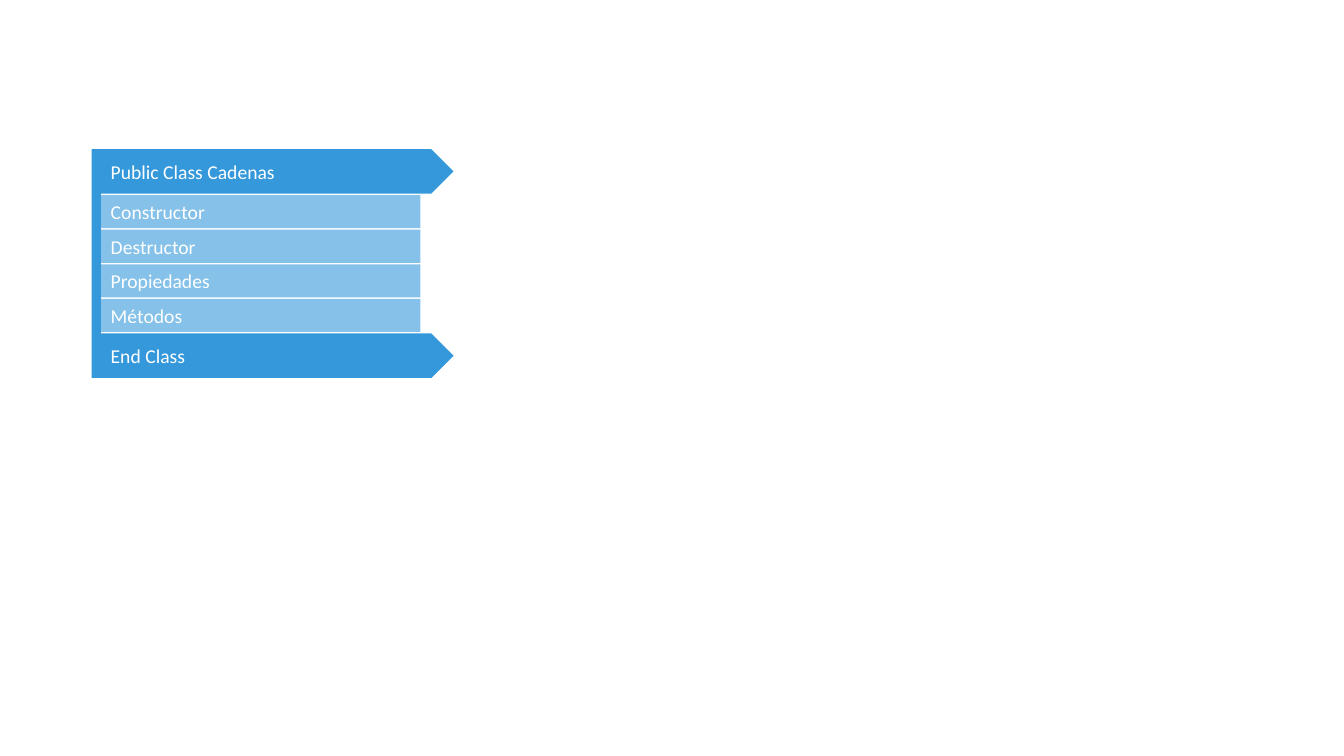
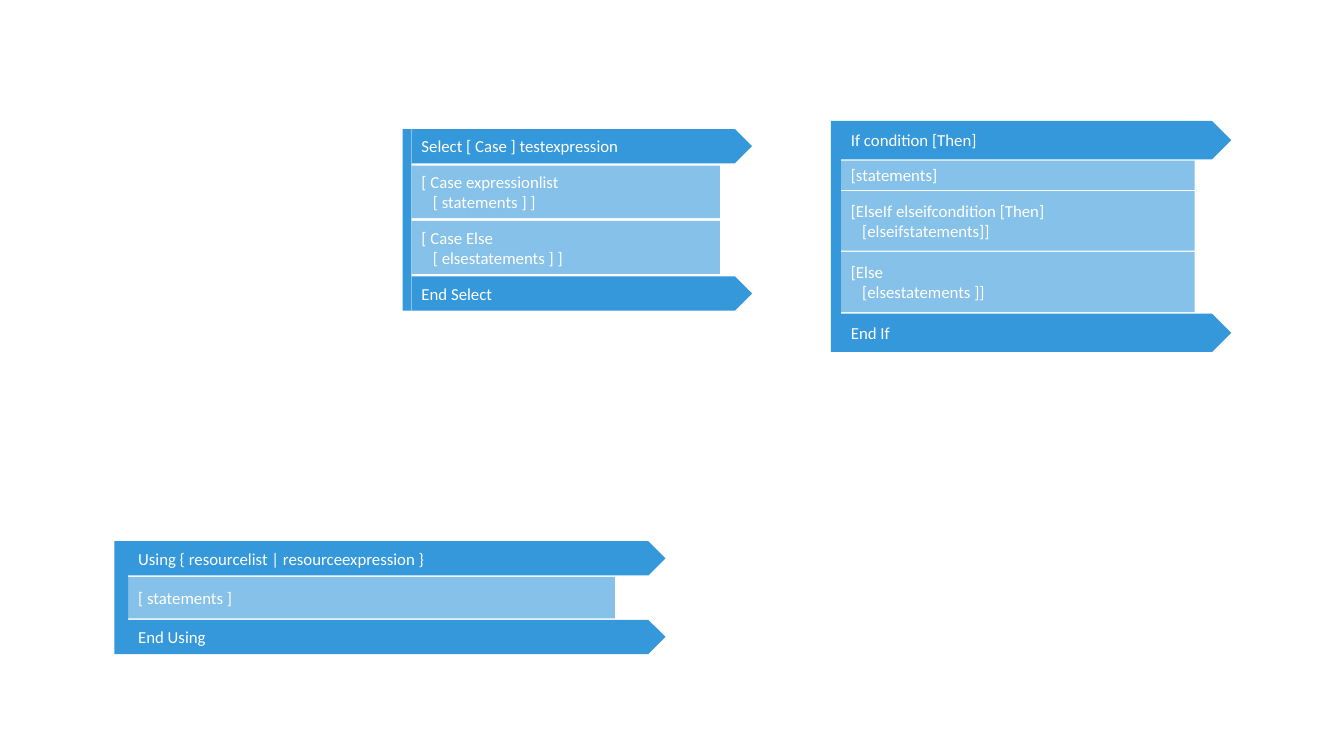
from pptx import Presentation
from pptx.dml.color import RGBColor
from pptx.enum.shapes import MSO_SHAPE as Shape
from pptx.enum.text import MSO_ANCHOR as Anchor, PP_ALIGN as Align
from pptx.util import Pt

BLUE = RGBColor(0x34, 0x98, 0xDB)
LIGHT_BLUE = RGBColor(0x85, 0xC1, 0xE9)
WHITE = RGBColor(0xFF, 0xFF, 0xFF)


class SyntaxDeck:
    font = "Calibri"
    indent = 8.1

    def __init__(self):
        self.deck = Presentation()
        self.deck.slide_width = Pt(960)
        self.deck.slide_height = Pt(540)
        self.slide = None

    def new_slide(self):
        self.slide = self.deck.slides.add_slide(self.deck.slide_layouts[6])

    def bar(self, group, kind, left, top, width, height, color):
        bar = group.shapes.add_shape(kind, Pt(left), Pt(top), Pt(width), Pt(height))
        bar.shadow.inherit = False
        bar.fill.solid()
        bar.fill.fore_color.rgb = color
        bar.line.fill.background()
        return bar

    def label(self, bar, text, size):
        frame = bar.text_frame
        frame.text = text
        frame.word_wrap = True
        frame.vertical_anchor = Anchor.MIDDLE
        for number, paragraph in enumerate(frame.paragraphs):
            paragraph.alignment = Align.LEFT
            if number:
                paragraph._p.get_or_add_pPr().set("marL", str(Pt(self.indent)))
            for run in paragraph.runs:
                run.font.name = self.font
                run.font.size = Pt(size)
                run.font.color.rgb = WHITE

    def code_block(self, left, top, spine, cap_size, row_width, gap, size,
                   opening, rows, closing):
        group = self.slide.shapes.add_group_shape()
        cap_width, cap_height = cap_size
        cap = (Shape.PENTAGON, cap_width, cap_height, BLUE)
        parts = [(opening, *cap)]
        parts += [(text, Shape.RECTANGLE, row_width, height, LIGHT_BLUE)
                  for text, height in rows]
        parts.append((closing, *cap))
        y = top
        for text, kind, width, height, color in parts:
            bar = self.bar(group, kind, left, y, width, height, color)
            self.label(bar, text, size)
            y += height + gap
        self.bar(group, Shape.RECTANGLE, left - spine, top, spine, y - gap - top, BLUE)


syntax = SyntaxDeck()

syntax.new_slide()
members = ["Constructor", "Destructor", "Propiedades", "Métodos"]
syntax.code_block(
    72, 106.5, 6.5, (252, 31.8), 228.4, 1.1, 14,
    "Public Class Cadenas", [(member, 23.6) for member in members], "End Class")

syntax.new_slide()
syntax.code_block(
    294, 92.2, 6.3, (243.2, 24.4), 220.2, 1.75, 12,
    "Select [ Case ] testexpression",
    [("[ Case expressionlist\n[ statements ] ]", 37.6),
     ("[ Case Else\n[ elsestatements ] ]", 38)],
    "End Select")
syntax.code_block(
    600.7, 86.4, 7.2, (278.8, 27.4), 252.6, 0.9, 12,
    "If condition [Then]",
    [("[statements]", 20.9),
     ("[ElseIf elseifcondition [Then]\n[elseifstatements]]", 42.5),
     ("[Else\n[elsestatements ]]", 43.2)],
    "End If")
syntax.code_block(
    91.6, 386.6, 9.8, (383.8, 24.4), 347.6, 1.1, 12,
    "Using { resourcelist | resourceexpression }",
    [("[ statements ]", 29.6)],
    "End Using")

syntax.deck.save("out.pptx")
